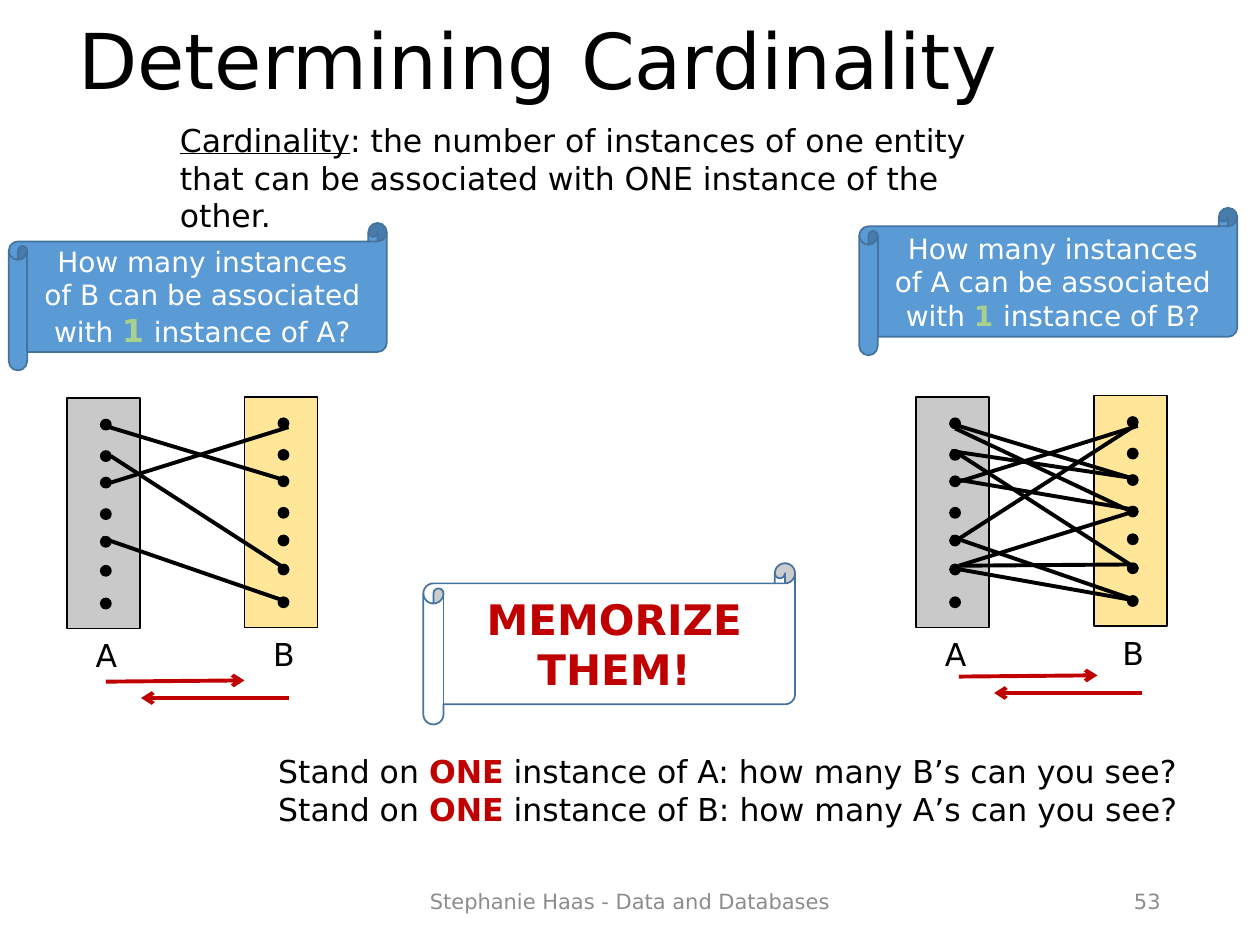
from pptx import Presentation
from pptx.dml.color import RGBColor
from pptx.enum.shapes import MSO_CONNECTOR, MSO_SHAPE
from pptx.enum.text import MSO_ANCHOR, MSO_AUTO_SIZE, PP_ALIGN
from pptx.oxml.ns import qn
from pptx.util import Inches, Pt
from lxml import etree

FONT = "DejaVu Sans"
BLACK = RGBColor(0x00, 0x00, 0x00)
WHITE = RGBColor(0xFF, 0xFF, 0xFF)
BLUE = RGBColor(0x5B, 0x9B, 0xD5)
DARK_BLUE = RGBColor(0x43, 0x73, 0x9E)
GREEN = RGBColor(0xA9, 0xD1, 0x8E)
RED = RGBColor(0xC0, 0x00, 0x00)
GRAY = RGBColor(0xC9, 0xC9, 0xC9)
YELLOW = RGBColor(0xFF, 0xE6, 0x99)
FOOTER_GRAY = RGBColor(0x8C, 0x8C, 0x8C)

# Offsets inside a mapping, in inches from its top left corner
SET_WIDTH, SET_HEIGHT, SET_GAP = 0.58, 1.83, 1.41
DOT_SIZE, DOT_LEFT = 0.08, 0.27
DOT_TOPS = (0.17, 0.42, 0.63, 0.88, 1.10, 1.33, 1.59)

# Links between instances: start x, start y, end x, end y
ONE_TO_ONE = [
    (0.27, 0.22, 1.76, 0.67),
    (0.35, 0.68, 1.76, 0.24),
    (0.35, 0.47, 1.76, 1.38),
    (0.28, 1.12, 1.76, 1.63),
]
MANY_TO_MANY = ONE_TO_ONE + [
    (0.31, 0.26, 1.75, 0.94),
    (0.35, 1.13, 1.75, 0.23),
    (0.28, 0.44, 1.76, 0.66),
    (0.34, 1.35, 1.69, 1.34),
    (0.35, 1.38, 1.76, 1.63),
    (0.35, 0.67, 1.76, 0.91),
    (0.34, 1.35, 1.76, 0.91),
]


def write_text(frame, *paragraphs, size=18, color=BLACK, bold=False,
               align=PP_ALIGN.LEFT, anchor=MSO_ANCHOR.TOP, spacing=None):
    """Each paragraph is a list of (text, format changes) runs."""
    frame.word_wrap = True
    frame.vertical_anchor = anchor
    for index, runs in enumerate(paragraphs):
        paragraph = frame.add_paragraph() if index else frame.paragraphs[0]
        paragraph.alignment = align
        if spacing:
            paragraph.line_spacing = spacing
        for text, changes in runs:
            run = paragraph.add_run()
            run.text = text
            run.font.name = FONT
            run.font.size = Pt(changes.get("size", size))
            run.font.color.rgb = changes.get("color", color)
            run.font.bold = changes.get("bold", bold)
            run.font.underline = changes.get("underline", False)


def add_text(shapes, left, top, width, height, *paragraphs, grow=True, **style):
    box = shapes.add_textbox(Inches(left), Inches(top), Inches(width), Inches(height))
    write_text(box.text_frame, *paragraphs, **style)
    if grow:
        box.text_frame.auto_size = MSO_AUTO_SIZE.SHAPE_TO_FIT_TEXT


def add_box(shapes, kind, left, top, width, height, fill, line=BLACK):
    box = shapes.add_shape(kind, Inches(left), Inches(top), Inches(width), Inches(height))
    box.shadow.inherit = False
    box.fill.solid()
    box.fill.fore_color.rgb = fill
    box.line.color.rgb = line
    box.line.width = Pt(1)
    return box


def add_scroll(shapes, left, top, width, height, fill, runs, **style):
    scroll = add_box(shapes, MSO_SHAPE.HORIZONTAL_SCROLL, left, top, width, height,
                     fill, DARK_BLUE)
    write_text(scroll.text_frame, runs, align=PP_ALIGN.CENTER,
               anchor=MSO_ANCHOR.MIDDLE, **style)


def add_line(shapes, x1, y1, x2, y2, color=BLACK, arrow=False):
    line = shapes.add_connector(MSO_CONNECTOR.STRAIGHT, Inches(x1), Inches(y1),
                                Inches(x2), Inches(y2))
    line.line.color.rgb = color
    line.line.width = Pt(2.25)
    if arrow:
        etree.SubElement(line.line._get_or_add_ln(), qn("a:tailEnd"), type="arrow")
    etree.SubElement(line._element.spPr, qn("a:effectLst"))


def add_set(shapes, left, top, name, fill):
    add_box(shapes, MSO_SHAPE.RECTANGLE, left, top, SET_WIDTH, SET_HEIGHT, fill)
    for dot_top in DOT_TOPS:
        add_box(shapes, MSO_SHAPE.OVAL, left + DOT_LEFT, top + dot_top,
                DOT_SIZE, DOT_SIZE, BLACK)
    add_text(shapes, left + 0.13, top + 1.84, 0.35, 0.4, [(name, {})])


def add_mapping(shapes, left, top, links):
    mapping = shapes.add_group_shape().shapes
    add_set(mapping, left, top + 0.01, "A", GRAY)
    add_set(mapping, left + SET_GAP, top, "B", YELLOW)
    for x1, y1, x2, y2 in links:
        add_line(mapping, left + x1, top + y1, left + x2, top + y2)


def add_direction_arrows(shapes, left, top):
    add_line(shapes, left, top, left + 1.1, top - 0.01, RED, arrow=True)
    add_line(shapes, left + 1.45, top + 0.13, left + 0.28, top + 0.13, RED, arrow=True)


def main():
    deck = Presentation()
    deck.slide_width, deck.slide_height = Inches(10), Inches(7.5)
    slide = deck.slides.add_slide(deck.slide_layouts[5])
    shapes = slide.shapes

    # Title and definition
    title = shapes.title
    title.left, title.top = Inches(0.52), Inches(0.08)
    title.width, title.height = Inches(9), Inches(0.87)
    write_text(title.text_frame, [("Determining Cardinality", {})], size=44,
               anchor=MSO_ANCHOR.MIDDLE, spacing=0.9)
    add_text(shapes, 1.33, 0.91, 7, 0.71, [
        ("Cardinality", {"underline": True}),
        (": the number of instances of one entity that can be associated "
         "with ONE instance of the other.", {})])

    # Question scrolls
    for left, top, many, one, one_size in ((6.82, 1.65, "A", "B", 16),
                                           (0.07, 1.77, "B", "A", 18)):
        add_scroll(shapes, left, top, 3, 1.17, BLUE, [
            (f"How many instances of {many} can be associated with ", {}),
            ("1", {"color": GREEN, "bold": True, "size": one_size}),
            (" ", {"bold": True}),
            (f"instance of {one}?", {})], size=16, color=WHITE)

    # Mappings between the two entities
    add_mapping(shapes, 0.53, 3.15, ONE_TO_ONE)
    add_mapping(shapes, 7.27, 3.14, MANY_TO_MANY)
    add_direction_arrows(shapes, 0.84, 5.41)
    add_direction_arrows(shapes, 7.61, 5.37)

    # Rules to memorize
    rules = [[("Stand on ", {}), ("ONE", {"color": RED, "bold": True}),
              (f" instance of {one}: how many {many}’s can you see?", {})]
             for one, many in ("AB", "BA")]
    add_text(shapes, 2.11, 5.92, 7.59, 0.71, *rules)
    add_scroll(shapes, 3.36, 4.47, 2.95, 1.28, WHITE, [("MEMORIZE THEM!", {})],
               size=24, color=RED, bold=True)

    # Footer and slide number
    footer = {"size": 12, "color": FOOTER_GRAY, "anchor": MSO_ANCHOR.MIDDLE, "grow": False}
    add_text(shapes, 3.31, 6.95, 3.38, 0.4,
             [("Stephanie Haas - Data and Databases", {})], align=PP_ALIGN.CENTER, **footer)
    add_text(shapes, 7.06, 6.95, 2.25, 0.4, [("53", {})], align=PP_ALIGN.RIGHT, **footer)

    deck.save("out.pptx")


if __name__ == "__main__":
    main()
